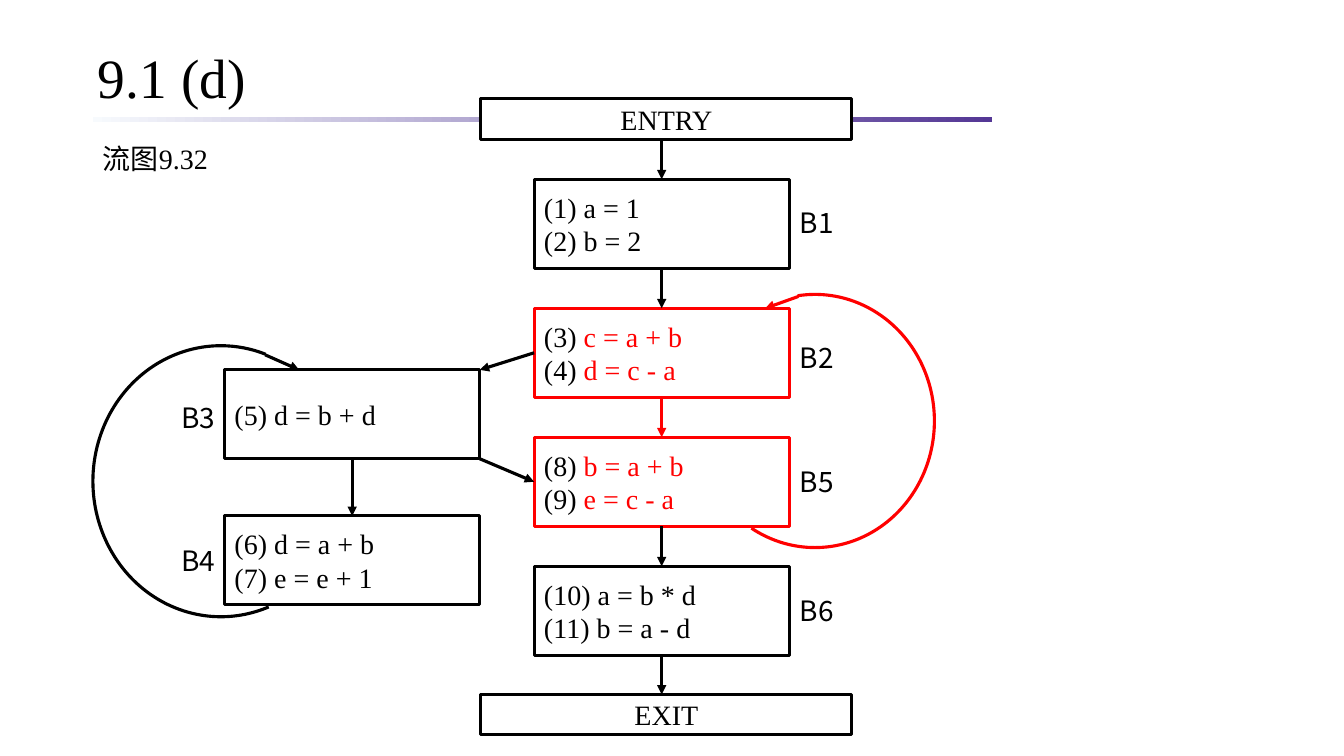
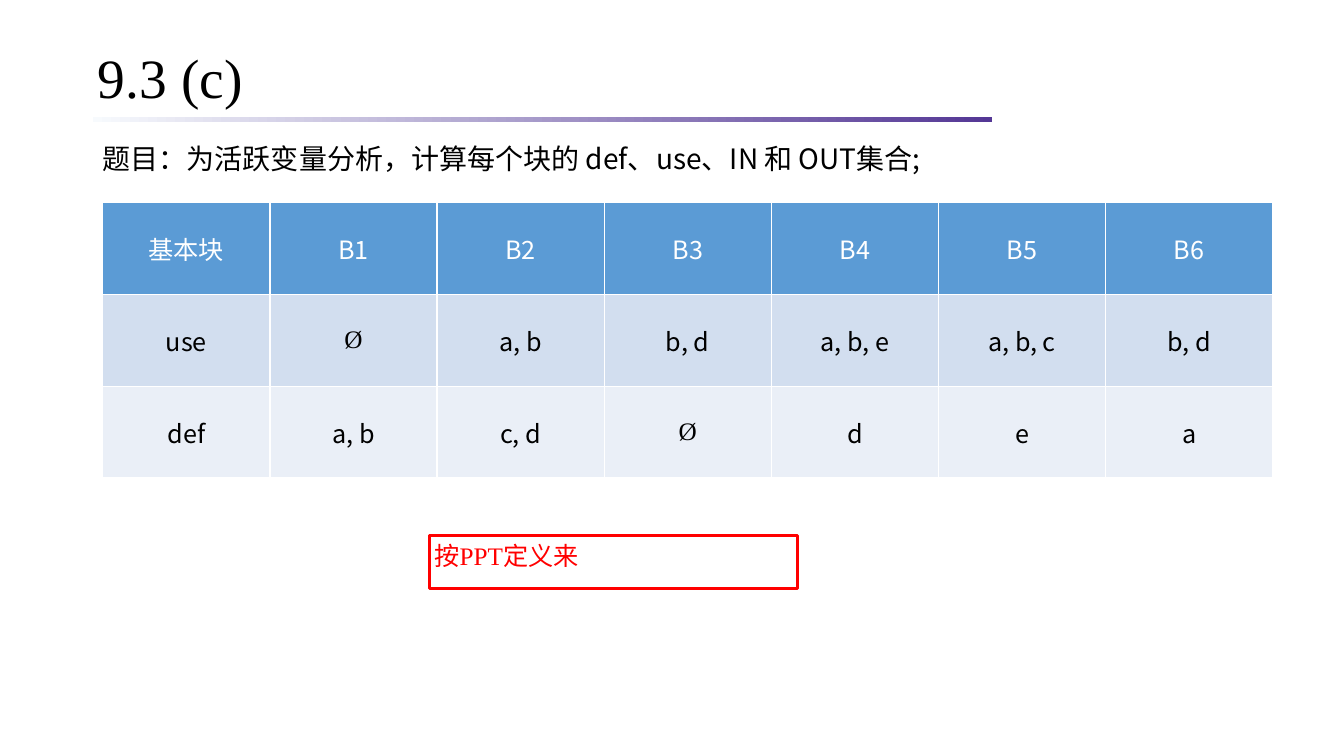
from lxml.etree import SubElement
from pptx import Presentation
from pptx.dml.color import RGBColor
from pptx.enum.shapes import MSO_CONNECTOR as Link, MSO_SHAPE as Form
from pptx.enum.text import MSO_ANCHOR as Anchor, PP_ALIGN as Align
from pptx.oxml.ns import qn
from pptx.util import Cm, Pt

BLACK = RGBColor(0x00, 0x00, 0x00)
WHITE = RGBColor(0xFF, 0xFF, 0xFF)
RED = RGBColor(0xFF, 0x00, 0x00)
PALE = RGBColor(0xF7, 0xFA, 0xFD)
VIOLET = RGBColor(0x54, 0x37, 0x95)
BLUE = RGBColor(0x5B, 0x9B, 0xD5)
SKY = RGBColor(0xD2, 0xDE, 0xEF)
ICE = RGBColor(0xEA, 0xEF, 0xF7)
SERIF = "Times New Roman"
SANS = "Noto Sans CJK SC"
STROKE = Pt(2.25)


def put(frame, lines, face=SERIF, size=20, ink=BLACK, side=Align.LEFT, gap=1.0):
    frame.word_wrap = True
    for i, line in enumerate(lines):
        para = frame.add_paragraph() if i else frame.paragraphs[0]
        para.alignment = side
        para.line_spacing = gap
        para.font.name = face
        para.font.size = Pt(size)
        para.font.bold = False
        para.font.color.rgb = ink
        for part in line:
            para.add_run().text = part


def draw(shapes, form, x, y, wide, high, ink, fill=None):
    shape = shapes.add_shape(form, Cm(x), Cm(y), Cm(wide), Cm(high))
    shape.shadow.inherit = False
    shape.line.color.rgb = ink
    shape.line.width = STROKE
    if fill is None:
        shape.fill.background()
    else:
        shape.fill.solid()
        shape.fill.fore_color.rgb = fill
    return shape


deck = Presentation()
deck.slide_width, deck.slide_height = Cm(33.87), Cm(19.05)

heads = [
    ("9.1 (d)", "流图9.32", SERIF),
    ("9.3 (c)", "题目：为活跃变量分析，计算每个块的 def、use、IN 和 OUT集合;", SANS),
]
pages = []
for title, topic, face in heads:
    shapes = deck.slides.add_slide(deck.slide_layouts[6]).shapes
    pages.append(shapes)
    band = draw(shapes, Form.RECTANGLE, 2.34, 2.95, 22.66, 0.13, VIOLET)
    band.line.fill.background()
    band.fill.gradient()
    band.fill.gradient_angle = 0
    for stop, tint in zip(band.fill.gradient_stops, (PALE, VIOLET)):
        stop.color.rgb = tint
    frame = shapes.add_textbox(Cm(2.34), Cm(1.09), Cm(29.21), Cm(1.9)).text_frame
    frame.margin_left = frame.margin_right = Cm(0.13)
    frame.vertical_anchor = Anchor.MIDDLE
    put(frame, [[title]], size=39.6, gap=0.9)
    frame = shapes.add_textbox(Cm(2.34), Cm(3.02), Cm(28.65), Cm(1.4)).text_frame
    put(frame, [[topic]], face, gap=1.5)

flow, sets = pages

WIDE, HIGH = 6.43, 2.24
MAIN, LEFT = 13.46, 5.66
TOP, STEP = 4.52, 3.25
MID = MAIN + WIDE / 2
blocks = [
    ("B1", MAIN, TOP, 5.05, BLACK, [["(1) ", "a = 1"], ["(2) ", "b = 2"]]),
    ("B2", MAIN, TOP + STEP, 8.46, RED, [["(3) ", "c = a + b"], ["(4) ", "d = c - a"]]),
    ("B5", MAIN, TOP + 2 * STEP, 11.58, RED, [["(8) ", "b = a + b"], ["(9) ", "e = c - a"]]),
    ("B6", MAIN, TOP + 3 * STEP, 14.83, BLACK, [["(10) ", "a = b * d"], ["(11) ", "b = a - d"]]),
    ("B3", LEFT, 9.32, 9.96, BLACK, [["(5) ", "d = b + d"]]),
    ("B4", LEFT, 13.0, 13.56, BLACK, [["(6) ", "d = a + b"], ["(7) ", "e = e + 1"]]),
]
nodes = {}
for name, x, y, tag, ink, code in blocks:
    box = nodes[name] = draw(flow, Form.RECTANGLE, x, y, WIDE, HIGH, ink, WHITE)
    put(box.text_frame, code)
    for para in box.text_frame.paragraphs:
        if ink == RED:
            para.runs[1].font.color.rgb = RED
    side = 19.91 if x == MAIN else 4.32
    label = flow.add_textbox(Cm(side), Cm(tag), Cm(2.51), Cm(1.12))
    put(label.text_frame, [[name]], SANS)

for name, y in (("ENTRY", 2.49), ("EXIT", 17.5)):
    box = nodes[name] = draw(flow, Form.RECTANGLE, 12.12, y, 9.35, 1.02, BLACK, WHITE)
    put(box.text_frame, [[name]], side=Align.CENTER)

loops = [
    (17.53, 7.42, 6.02, 6.38, 0, (157.28, 72.4), RED),
    (2.34, 8.71, 6.45, 6.83, 180, (149.49, 65.65), BLACK),
]
for x, y, wide, high, turn, ends, ink in loops:
    arc = draw(flow, Form.ARC, x, y, wide, high, ink)
    arc.rotation = turn
    arc.adjustments[0], arc.adjustments[1] = ends

edge = LEFT + WIDE
arrows = [
    ((MID, 3.51), ("B1", 0), BLACK),
    (("B1", 2), ("B2", 0), BLACK),
    (("B2", 2), ("B5", 0), RED),
    (("B5", 2), ("B6", 0), BLACK),
    (("B6", 2), (MID, 17.5), BLACK),
    (("B3", 2), ("B4", 0), BLACK),
    (("B2", 1), (edge, 9.32), BLACK),
    ((edge, 9.32 + HIGH), ("B5", 1), BLACK),
    ((20.12, 7.47), (19.28, 7.77), RED),
    ((6.68, 8.94), (7.54, 9.32), BLACK),
]
for start, end, ink in arrows:
    spots = [(0, 0) if spot[0] in nodes else spot for spot in (start, end)]
    line = flow.add_connector(Link.STRAIGHT, *[Cm(n) for spot in spots for n in spot])
    if start[0] in nodes:
        line.begin_connect(nodes[start[0]], start[1])
    if end[0] in nodes:
        line.end_connect(nodes[end[0]], end[1])
    line.line.color.rgb = ink
    line.line.width = STROKE
    props = line.element.spPr
    SubElement(props.find(qn("a:ln")), qn("a:tailEnd"), type="triangle")
    SubElement(props, qn("a:effectLst"))

rows = [
    (BLUE, WHITE, ["基本块", "B1", "B2", "B3", "B4", "B5", "B6"]),
    (SKY, BLACK, ["use", "Ø", "a, b", "b, d", "a, b, e", "a, b, c", "b, d"]),
    (ICE, BLACK, ["def", "a, b", "c, d", "Ø", "d", "e", "a"]),
]
grid = sets.add_table(3, 7, Cm(2.59), Cm(5.11), Cm(29.49), Cm(6.93)).table
for r, (fill, ink, words) in enumerate(rows):
    for c, word in enumerate(words):
        cell = grid.cell(r, c)
        cell.vertical_anchor = Anchor.MIDDLE
        face = SERIF if word == "Ø" else SANS
        put(cell.text_frame, [[word]], face, 18, ink, Align.CENTER)
        props = cell._tc.get_or_add_tcPr()
        for rim in ("a:lnL", "a:lnR", "a:lnT", "a:lnB"):
            paint = SubElement(SubElement(props, qn(rim), w=str(Pt(1))), qn("a:solidFill"))
            SubElement(paint, qn("a:srgbClr"), val=str(WHITE))
        cell.fill.solid()
        cell.fill.fore_color.rgb = fill

note = draw(sets, Form.RECTANGLE, 10.82, 13.49, 9.27, 1.35, RED)
frame = note.text_frame
frame.vertical_anchor = Anchor.TOP
frame.margin_left = frame.margin_right = Cm(0.13)
put(frame, [["按PPT定义来"]], size=18, ink=RED)

deck.save("out.pptx")
